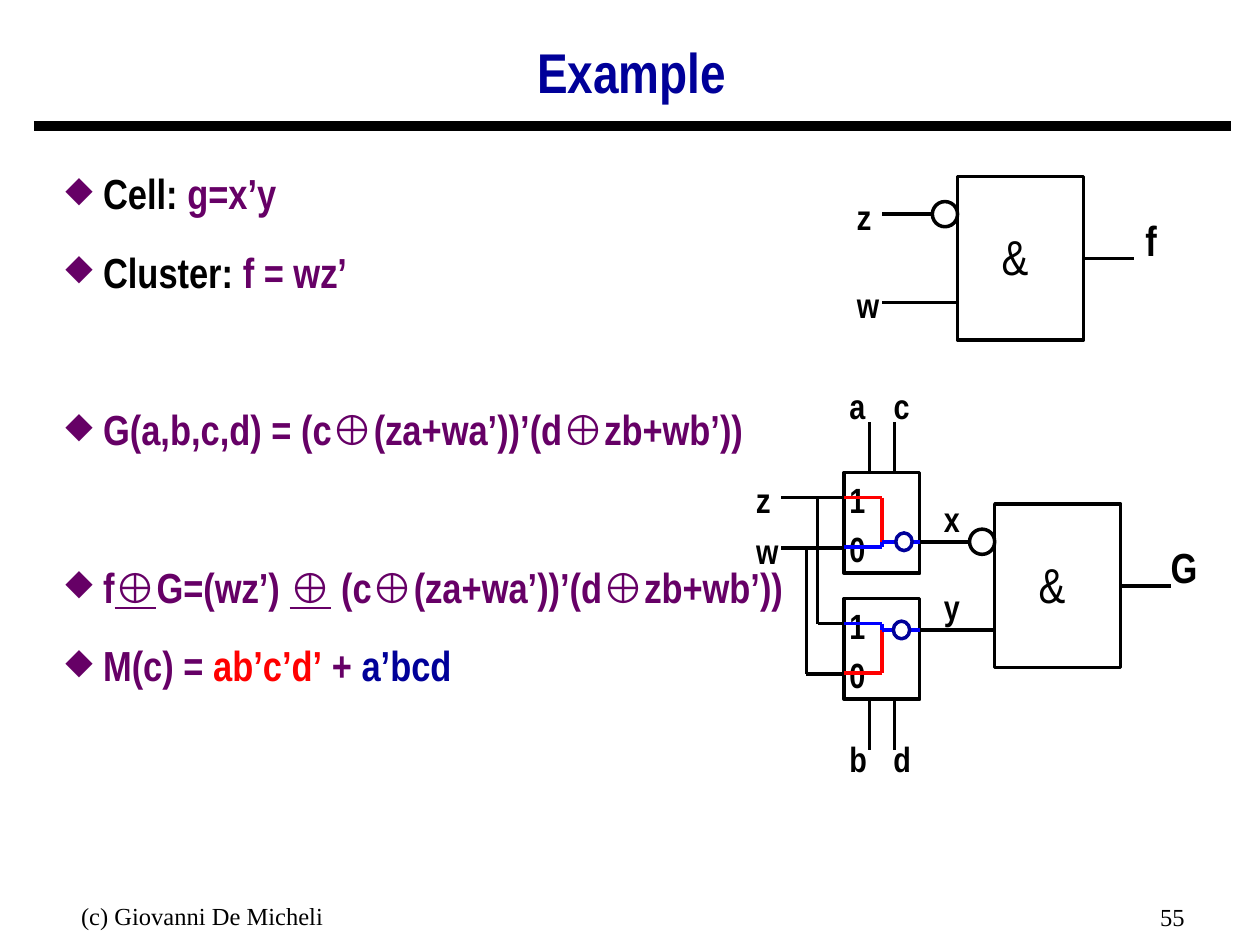
from dataclasses import dataclass
from itertools import pairwise

from lxml.etree import SubElement
from pptx import Presentation
from pptx.dml.color import RGBColor
from pptx.enum.shapes import MSO_CONNECTOR, MSO_SHAPE
from pptx.enum.text import MSO_ANCHOR, PP_ALIGN
from pptx.oxml.ns import qn
from pptx.util import Inches, Pt


@dataclass(frozen=True)
class Theme:
    black: str = "000000"
    white: str = "FFFFFF"
    navy: str = "000099"
    purple: str = "660066"
    red: str = "FF0000"
    blue: str = "0000FF"
    main_font: str = "Arial Narrow"
    symbol_font: str = "Arial"
    footer_font: str = "Times New Roman"
    title_size: int = 32
    gate_size: int = 28
    body_size: int = 24
    label_size: int = 20
    footer_size: int = 14
    wire: int = 2
    rule: int = 6


THEME = Theme()


@dataclass(frozen=True)
class Span:
    text: str
    color: str = THEME.purple
    font: str = THEME.main_font
    size: int = THEME.body_size
    bold: bool = True
    underline: bool = False


class Canvas:
    COLS, ROWS = 100, 75

    def __init__(self, prs, theme):
        self.theme = theme
        self.s = prs.slides.add_slide(prs.slide_layouts[5])
        self.col = prs.slide_width / self.COLS
        self.row = prs.slide_height / self.ROWS

    def place(self, x, y, w, h):
        return [round(v) for v in (x * self.col, y * self.row, w * self.col, h * self.row)]

    def add_spans(self, p, spans):
        for span in spans:
            r = p.add_run()
            r.text = span.text
            r.font.name = span.font
            r.font.size = Pt(span.size)
            r.font.bold = span.bold
            r.font.underline = span.underline
            r.font.color.rgb = RGBColor.from_string(span.color)

    def title(self, text, box):
        sp = self.s.shapes.title
        sp.left, sp.top, sp.width, sp.height = self.place(*box)
        tf = sp.text_frame
        tf.vertical_anchor = MSO_ANCHOR.MIDDLE
        p = tf.paragraphs[0]
        p.alignment = PP_ALIGN.CENTER
        p.line_spacing = 0.9
        self.add_spans(p, [Span(text, self.theme.navy, size=self.theme.title_size)])

    def text(self, span, box, align):
        tf = self.s.shapes.add_textbox(*self.place(*box)).text_frame
        tf.word_wrap = True
        tf.paragraphs[0].alignment = align
        self.add_spans(tf.paragraphs[0], [span])

    def label(self, text, x, y, w, size=THEME.label_size, bold=True):
        h = size / 72 * 12
        tf = self.s.shapes.add_textbox(*self.place(x, y, w, h)).text_frame
        tf.word_wrap = False
        tf.margin_left = tf.margin_right = tf.margin_top = tf.margin_bottom = 0
        tf.vertical_anchor = MSO_ANCHOR.MIDDLE
        p = tf.paragraphs[0]
        p.alignment = PP_ALIGN.CENTER
        self.add_spans(p, [Span(text, self.theme.black, size=size, bold=bold)])

    def bullets(self, items, box):
        tf = self.s.shapes.add_textbox(*self.place(*box)).text_frame
        tf.word_wrap = True
        for i, (before, spans) in enumerate(items):
            p = tf.add_paragraph() if i else tf.paragraphs[0]
            pPr = p._p.get_or_add_pPr()
            pPr.set("marL", str(Inches(0.47)))
            pPr.set("indent", str(Inches(-0.3)))
            color = SubElement(pPr, qn("a:buClr"))
            SubElement(color, qn("a:srgbClr"), val=self.theme.purple)
            SubElement(pPr, qn("a:buSzPct"), val="85000")
            SubElement(pPr, qn("a:buChar"), char="◆")
            p.line_spacing = 1.25
            if before:
                p.space_before = Pt(before)
            self.add_spans(p, spans)

    def outline(self, kind, box, color=THEME.black, fill=None):
        sp = self.s.shapes.add_shape(kind, *self.place(*box))
        sp.shadow.inherit = False
        if fill:
            sp.fill.solid()
            sp.fill.fore_color.rgb = RGBColor.from_string(fill)
        else:
            sp.fill.background()
        sp.line.color.rgb = RGBColor.from_string(color)
        sp.line.width = Pt(self.theme.wire)
        return sp

    def wire(self, *points, color=THEME.black, width=THEME.wire, source=None):
        for (x1, y1), (x2, y2) in pairwise(points):
            ends = self.place(x1, y1, x2, y2)
            cxn = self.s.shapes.add_connector(MSO_CONNECTOR.STRAIGHT, *ends)
            cxn.line.color.rgb = RGBColor.from_string(color)
            cxn.line.width = Pt(width)
            SubElement(cxn._element.spPr, qn("a:effectLst"))
            if source:
                cxn.begin_connect(source, 3)

    def gate(self, x, y):
        sp = self.outline(MSO_SHAPE.RECTANGLE, (x, y, 10, 13))
        self.label("&", x + 2.5, y + 4, 4.1, self.theme.gate_size, False)
        self.outline(MSO_SHAPE.OVAL, (x - 2, y + 2, 2, 2))
        self.wire((x - 6, y + 3), (x - 2, y + 3))
        self.wire((x - 6, y + 10), (x, y + 10))
        self.wire((x + 10, y + 6.5), (x + 14, y + 6.5), source=sp)

    def mux(self, x, y, pins_y):
        self.outline(MSO_SHAPE.RECTANGLE, (x, y, 6, 8))
        for text, dy in (("0", 4.4), ("1", 0.5)):
            self.label(text, x + 0.4, y + dy, 1.3)
        for dx in (2, 4):
            self.wire((x + dx, pins_y), (x + dx, pins_y + 4))

    def selection(self, x, start, end, color, to_output):
        points = [(x, start), (x + 3, start), (x + 3, end), (x + 6, end)]
        self.wire(*points[: 4 if to_output else 3], color=color)


def main():
    t = THEME
    prs = Presentation()
    prs.slide_width, prs.slide_height = Inches(10), Inches(7.5)
    c = Canvas(prs, t)

    c.wire((2.7, 10), (97.7, 10), width=t.rule)
    c.title("Example", (2.6, 2.2, 95.1, 7.5))

    xor = Span("⊕", font=t.symbol_font)
    xor_under = Span("⊕", font=t.symbol_font, underline=True)
    product = [xor, Span("(za+wa’))’(d"), xor, Span("zb+wb’))")]
    near, far = 9, 54
    c.bullets([
        (0, [Span("Cell: ", t.black), Span("g=x’y")]),
        (near, [Span("Cluster: ", t.black), Span("f = wz’")]),
        (far, [Span("G(a,b,c,d) = (c"), *product]),
        (far, [Span("f"), xor_under, Span("G=(wz’) "), xor_under, Span(" (c"), *product]),
        (near, [Span("M(c) = "), Span("ab’c’d’", t.red), Span(" + "), Span("a’bcd", t.navy)]),
    ], (2.5, 11.8, 67.7, 57.6))

    c.gate(76, 14)
    c.gate(78.95, 40)
    mux_x = 67
    c.mux(mux_x, 37.5, 33.5)
    c.mux(mux_x, 47.5, 55.5)

    for y, branch_x in ((39.5, 64.9), (43.5, 64)):
        c.wire((62, y), (mux_x, y))
        c.wire((branch_x, y), (branch_x, y + 10), (mux_x, y + 10))

    for text, x, y, w in (
        ("z", 68, 15.5, 1.1), ("w", 68, 22.5, 1.8),
        ("z", 60, 38, 1.1), ("w", 60, 42, 1.8),
        ("a", 67.4, 30.5, 1.3), ("c", 70.9, 30.5, 1.3),
        ("b", 67.4, 58.5, 1.4), ("d", 70.9, 58.5, 1.4),
        ("x", 74.9, 39.5, 1.3), ("y", 74.9, 46.5, 1.3),
    ):
        c.label(text, x, y, w)
    c.label("f", 90.9, 17, 0.9, t.body_size)
    c.label("G", 92.9, 43, 2.1, t.body_size)

    c.selection(mux_x, 39.5, 43, t.red, False)
    c.selection(mux_x, 43.4, 43, t.blue, True)
    c.selection(mux_x, 53.4, 50, t.red, False)
    c.selection(mux_x, 49.5, 50, t.blue, True)
    for x, y in ((70.9, 49.3), (71.1, 42.3)):
        c.outline(MSO_SHAPE.OVAL, (x, y, 1.3, 1.4), t.navy, t.white)

    for text, box, align in (
        ("(c) Giovanni De Micheli", (1.4, 71, 29.3, 4), PP_ALIGN.CENTER),
        ("55", (71.7, 71.1, 23.3, 3.9), PP_ALIGN.RIGHT),
    ):
        c.text(Span(text, t.black, t.footer_font, t.footer_size, False), box, align)

    prs.save("out.pptx")


if __name__ == "__main__":
    main()
